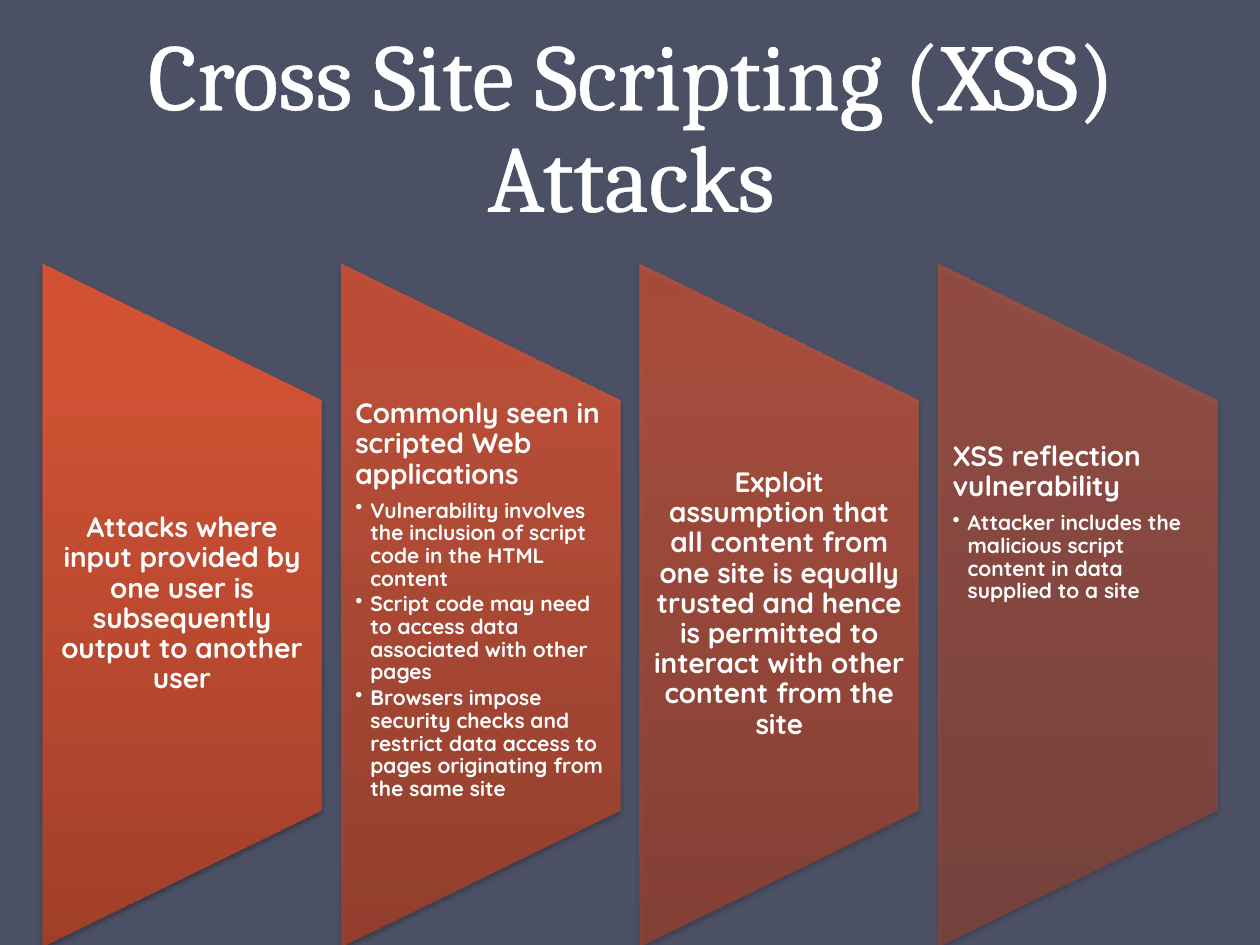
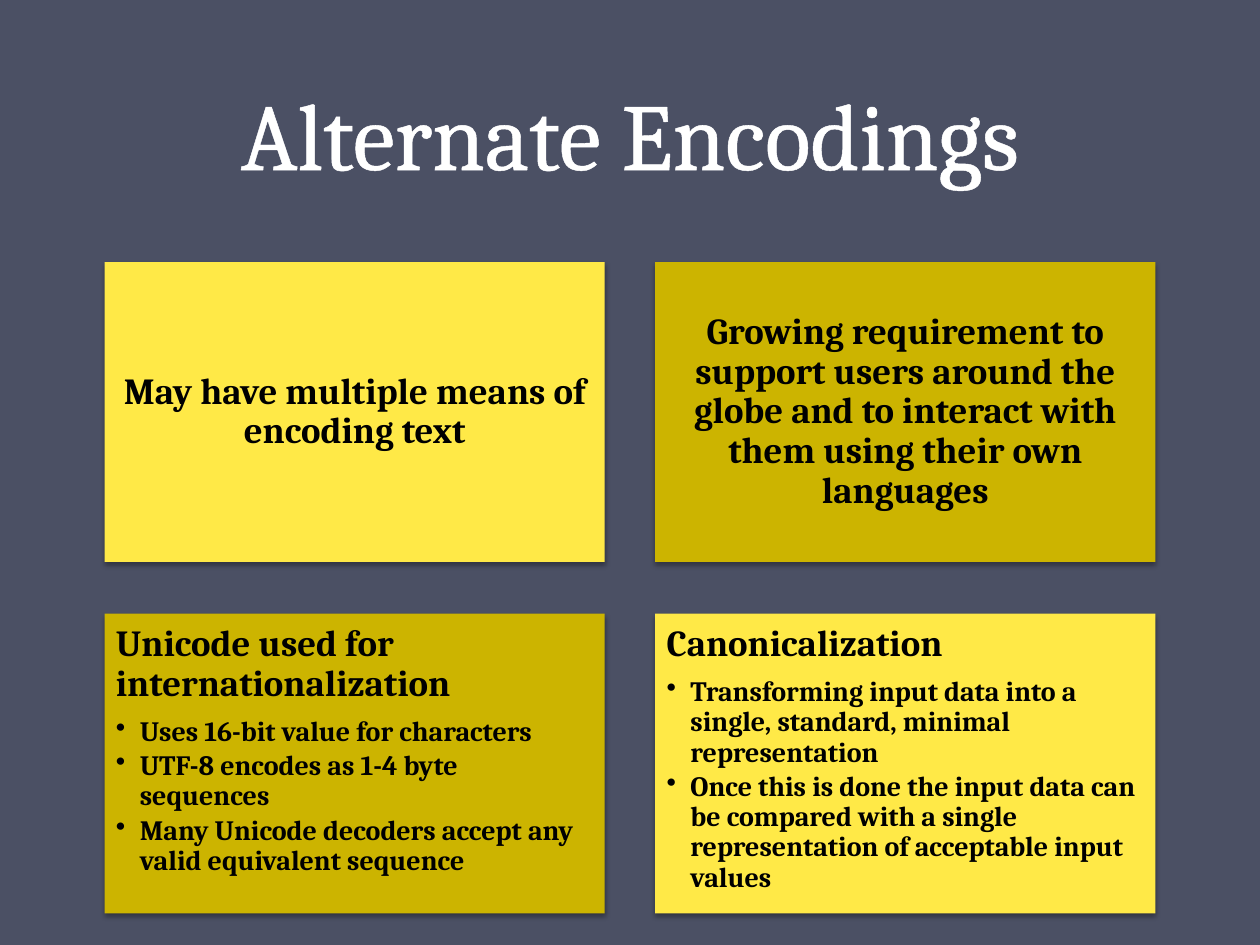
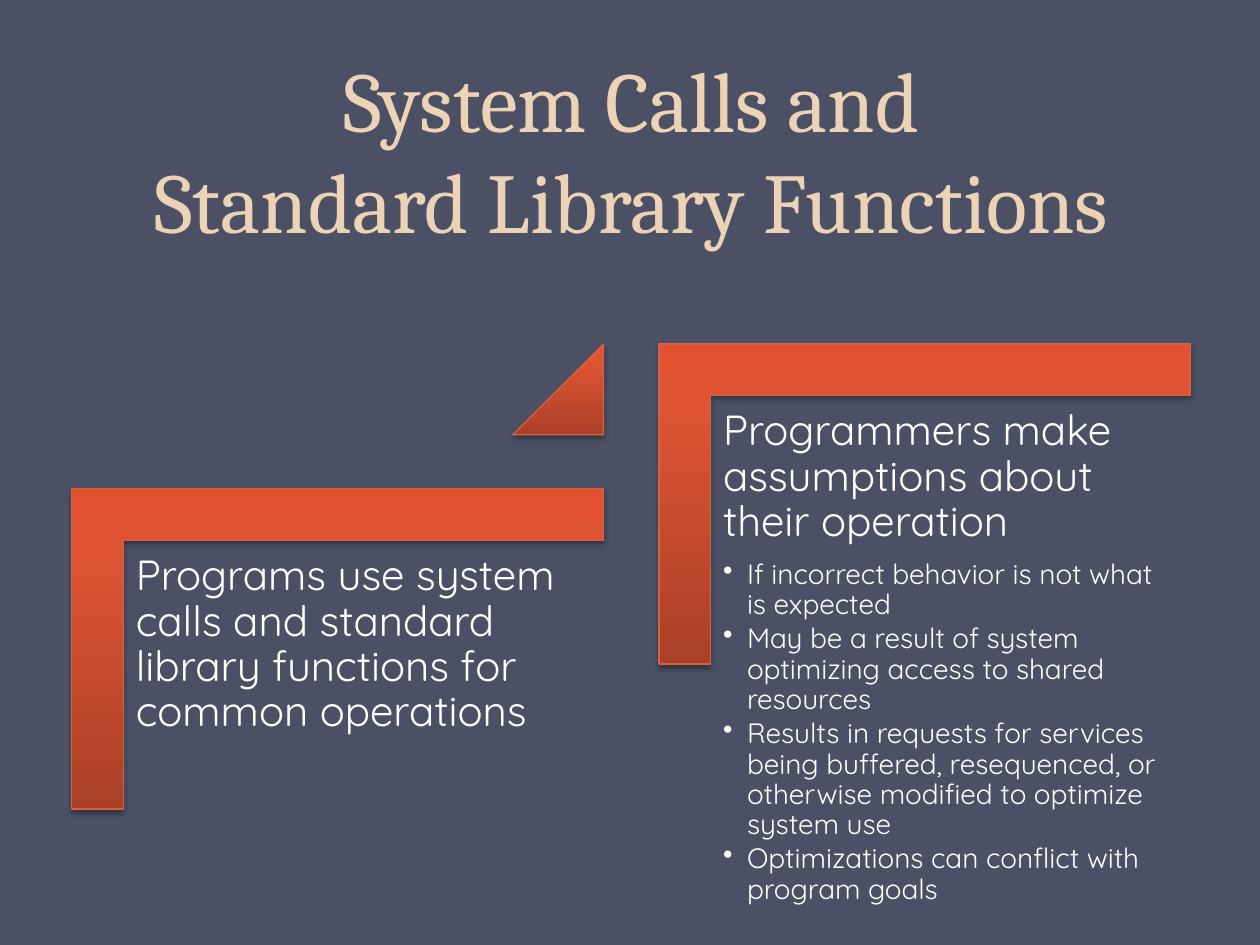
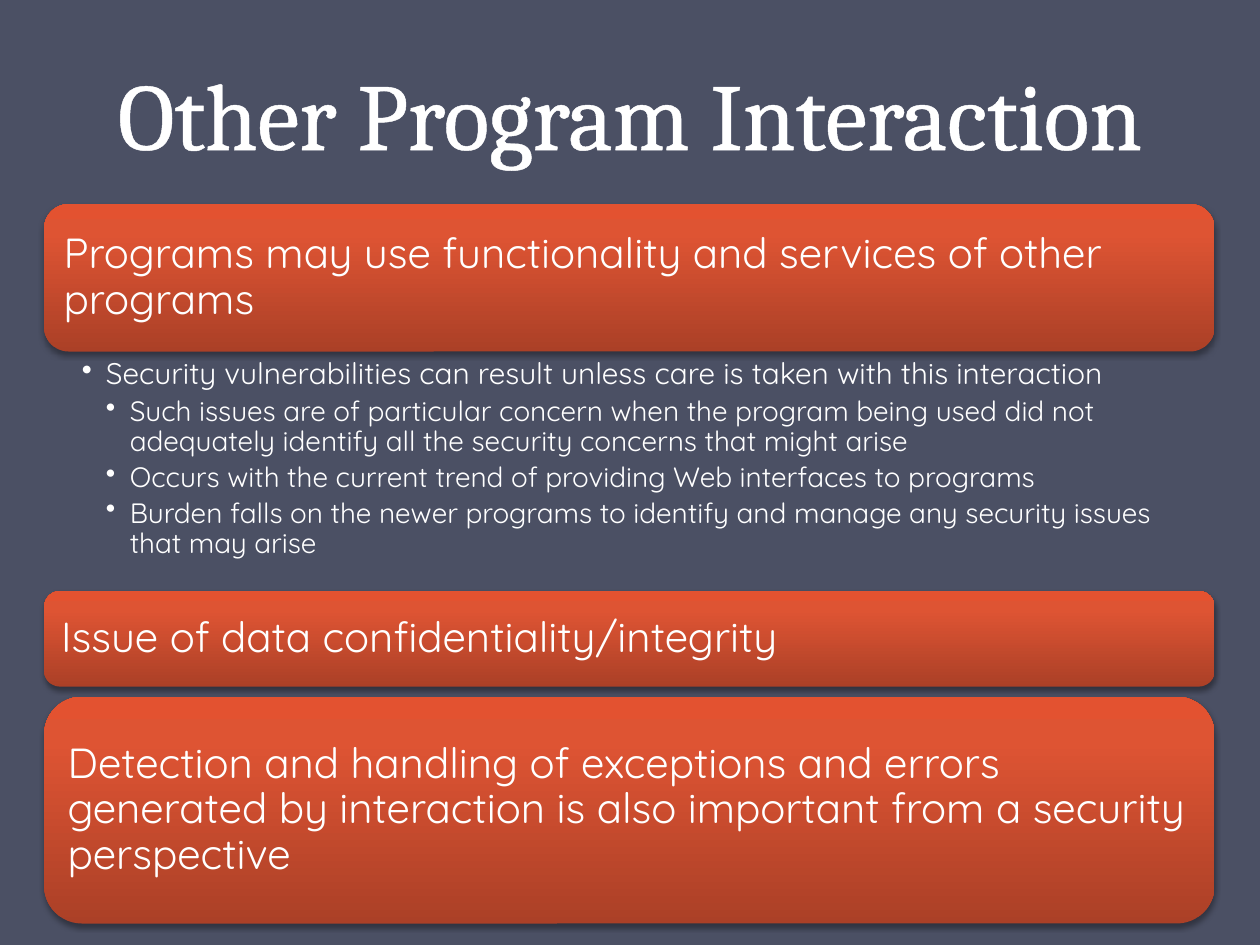
from lxml import etree
from pptx import Presentation
from pptx.dml.color import RGBColor
from pptx.enum.shapes import MSO_SHAPE
from pptx.enum.text import MSO_ANCHOR, PP_ALIGN
from pptx.oxml.ns import qn
from pptx.util import Inches, Pt

TOP, MID, LOW = MSO_ANCHOR.TOP, MSO_ANCHOR.MIDDLE, MSO_ANCHOR.BOTTOM
LEFT, CENTER = PP_ALIGN.LEFT, PP_ALIGN.CENTER
RECT, ROUND = MSO_SHAPE.RECTANGLE, MSO_SHAPE.ROUNDED_RECTANGLE
FLAP, CORNER = MSO_SHAPE.FLOWCHART_MANUAL_OPERATION, MSO_SHAPE.from_xml("corner")
WEDGE = MSO_SHAPE.ISOSCELES_TRIANGLE

HUES = {
    "back": "4B5064", "white": "FFFFFF", "black": "000000", "sand": "EDD3B6",
    "lemon": "FFE947", "gold": "CCB400", "edge": "D16349",
    "dark": "AB4027", "rust": "DE5433", "flame": "E35230",
}
RAMP = ((0, "dark"), (80, "rust"), (100, "flame"))
SERIF, SANS = "Cambria", "Quicksand"

PANELS = (
    ("Attacks where input provided by one user is subsequently output to another user", (), 0),
    ("Commonly seen in scripted Web applications", (
        "Vulnerability involves the inclusion of script code in the HTML content",
        "Script code may need to access data associated with other pages",
        "Browsers impose security checks and restrict data access to pages "
        "originating from the same site"), 0),
    ("Exploit assumption that all content from one site is equally trusted and hence "
     "is permitted to interact with other content from the site", (), 0),
    ("XSS reflection vulnerability", (
        "Attacker includes the malicious script content in data supplied to a site",), 0.34),
)
CARDS = (
    ("lemon", "May have multiple means of encoding text", ()),
    ("gold", "Growing requirement to support users around the globe and to interact "
     "with them using their own languages", ()),
    ("gold", "Unicode used for internationalization", (
        "Uses 16-bit value for characters",
        "UTF-8 encodes as 1-4 byte sequences",
        "Many Unicode decoders accept any valid equivalent sequence")),
    ("lemon", "Canonicalization", (
        "Transforming input data into a single, standard, minimal representation",
        "Once this is done the input data can be compared with a single "
        "representation of acceptable input values")),
)
STEPS = (
    ("Programs use system calls and standard library functions for common operations", ()),
    ("Programmers make assumptions about their operation", (
        "If incorrect behavior is not what is expected",
        "May be a result of system optimizing access to shared resources",
        "Results in requests for services being buffered, resequenced, or otherwise "
        "modified to optimize system use",
        "Optimizations can conflict with program goals")),
)
BARS = (
    (1.62, 1.17, "Programs may use functionality and services of other programs"),
    (4.69, 0.76, "Issue of data confidentiality/integrity"),
    (5.53, 1.8, "Detection and handling of exceptions and errors generated by interaction "
     "is also important from a security perspective"),
)
NOTES = (
    (1, 17, "Security vulnerabilities can result unless care is taken with this interaction"),
    (2, 16, "Such issues are of particular concern when the program being used did not "
     "adequately identify all the security concerns that might arise"),
    (2, 16, "Occurs with the current trend of providing Web interfaces to programs"),
    (2, 16, "Burden falls on the newer programs to identify and manage any security "
     "issues that may arise"),
)


def hue(name):
    """Return the named colour."""
    return RGBColor.from_string(HUES[name])


def place(box):
    """Turn left, top, width and height into lengths."""
    return [Inches(side) for side in box]


def tint(parent, name, alpha=100):
    """Add a colour element, see-through when alpha is below 100."""
    color = etree.SubElement(parent, qn("a:srgbClr"), val=HUES[name])
    if alpha < 100:
        etree.SubElement(color, qn("a:alpha"), val=str(alpha * 1000))


def shade(shape):
    """Give a shape its soft shadow below."""
    shape.shadow.inherit = False
    effects = shape._element.spPr.find(qn("a:effectLst"))
    shadow = etree.SubElement(
        effects, qn("a:outerShdw"), blurRad=str(Pt(3.1)), dist=str(Pt(1.8)),
        dir="5400000", rotWithShape="0")
    tint(shadow, "black", 35)


def glow(shape, alpha):
    """Fill a shape with the upright red ramp."""
    shape.fill.gradient()
    shape.fill.gradient_angle = 90
    grad = shape._element.spPr.find(qn("a:gradFill"))
    grad.set("rotWithShape", "0")
    stops = grad.find(qn("a:gsLst"))
    for stop in list(stops):
        stops.remove(stop)
    for pos, name in RAMP:
        stop = etree.SubElement(stops, qn("a:gs"), pos=str(pos * 1000))
        tint(stop, name, alpha)


def form(slide, kind, box, fill=None, alpha=100, turn=0, edge=None, bends=()):
    """Draw a shape that shows in the given box, also after a quarter turn."""
    left, top, wide, high = box
    if turn:
        shift = (wide - high) / 2
        box = left + shift, top - shift, high, wide
    shape = slide.shapes.add_shape(kind, *place(box))
    shape.rotation = turn
    for spot, bend in enumerate(bends):
        shape.adjustments[spot] = bend
    if fill:
        shape.fill.solid()
        shape.fill.fore_color.rgb = hue(fill)
    else:
        glow(shape, alpha)
    if edge:
        shape.line.color.rgb = hue(edge)
        shape.line.width = Pt(0.75)
    else:
        shape.line.fill.background()
    shade(shape)
    return shape


def write(shape, rows, face, color="white", bold=False, align=LEFT, anchor=TOP,
          pads=(0.1, 0.1, 0.1, 0.1), step=0.19, after=0.15):
    """Write rows of level, size and text; levels above 0 get bullets."""
    frame = shape.text_frame
    frame.word_wrap = True
    frame.vertical_anchor = anchor
    (frame.margin_left, frame.margin_top,
     frame.margin_right, frame.margin_bottom) = place(pads)
    for spot, (level, size, text) in enumerate(rows):
        para = frame.add_paragraph() if spot else frame.paragraphs[0]
        para.text = text
        para.alignment = align
        para.level = level
        if level:
            props = para._p.get_or_add_pPr()
            props.set("marL", str(Inches(step * level)))
            props.set("indent", str(-Inches(step)))
            etree.SubElement(props, qn("a:buChar"), char="•")
        para.line_spacing = 0.9
        para.space_after = Pt(round(size * (after if level else 0.35), 1))
        font = para.font
        font.name, font.size, font.bold = face, Pt(size), bold
        font.color.rgb = hue(color)


def label(slide, box, rows, face, **style):
    """Add a text box with rows of text."""
    write(slide.shapes.add_textbox(*place(box)), rows, face, **style)


def rows(head, items, big, small):
    """List a heading and its bullets as rows."""
    return [(0, big, head)] + [(1, small, item) for item in items]


def title(slide, box, text, size=54, color="white", rim=True):
    """Add the slide title, set on the bottom of its box."""
    shape = slide.shapes.add_textbox(*place(box))
    write(shape, [(0, size, text)], SERIF, color, align=CENTER, anchor=LOW,
          pads=(0.1, 0.05, 0.1, 0.05))
    para = shape.text_frame.paragraphs[0]
    para.line_spacing, para.space_after = Pt(58), Pt(0)
    if rim:
        line = etree.Element(qn("a:ln"), w=str(Pt(1.45)))
        tint(etree.SubElement(line, qn("a:solidFill")), color)
        para.font._element.insert(0, line)


def page(prs):
    """Add a blank slide with the shared background."""
    slide = prs.slides.add_slide(prs.slide_layouts[6])
    slide.background.fill.solid()
    slide.background.fill.fore_color.rgb = hue("back")
    return slide


def attacks(prs):
    """Build the slide of four fading panels."""
    slide = page(prs)
    title(slide, (0.51, 0.13, 9, 1.75), "Cross Site Scripting (XSS) Attacks")
    for spot, (head, items, drop) in enumerate(PANELS):
        left = 0.34 + spot * 2.37
        form(slide, FLAP, (left, 2.09, 2.21, 5.42), alpha=round(90 - spot * 40 / 3), turn=270)
        label(slide, (left, 3.17, 2.21, 3.25), rows(head, items, 16, 12), SANS, bold=True,
              align=LEFT if items else CENTER, anchor=TOP if items else MID,
              pads=(0.11, drop, 0.11, 0), step=0.12)


def codes(prs):
    """Build the slide of four cards."""
    slide = page(prs)
    title(slide, (0.5, 0, 9, 1.55), "Alternate Encodings")
    for spot, (fill, head, items) in enumerate(CARDS):
        row, col = divmod(spot, 2)
        card = form(slide, RECT, (0.83 + col * 4.37, 2.08 + row * 2.79, 3.97, 2.38), fill)
        write(card, rows(head, items, 21, 16), SERIF, "black", bold=True,
              align=LEFT if items else CENTER, anchor=TOP if items else MID,
              pads=(0.09, 0.09, 0.09, 0.09))


def calls(prs):
    """Build the slide of two rising steps."""
    slide = page(prs)
    title(slide, (0.51, 0.29, 9, 1.75), "System Calls and\vStandard Library Functions",
          48.6, "sand", rim=False)
    for spot, (head, items) in enumerate(STEPS):
        left, top = 0.57 + spot * 4.66, 3.88 - spot * 1.15
        form(slide, CORNER, (left, top, 4.22, 2.54), turn=90, edge="edge", bends=(0.161, 0.161))
        label(slide, (left + 0.41, top + 0.42, 3.81, 3.34), rows(head, items, 24, 16), SANS)
    form(slide, WEDGE, (4.07, 2.73, 0.72, 0.72), edge="edge", bends=(1,))


def links(prs):
    """Build the slide of three bars."""
    slide = page(prs)
    title(slide, (0, 0, 10, 1.39), "Other Program Interaction")
    for top, high, text in BARS:
        bar = form(slide, ROUND, (0.35, top, 9.29, high))
        write(bar, [(0, 24, text)], SANS, anchor=MID)
    label(slide, (0.35, 2.83, 9.29, 1.86), NOTES, SANS, pads=(0.3, 0.02, 0.12, 0.02), after=0.2)


def main():
    """Build and save the deck."""
    prs = Presentation()
    prs.slide_width, prs.slide_height = Inches(10), Inches(7.5)
    for build in (attacks, codes, calls, links):
        build(prs)
    prs.save("out.pptx")


if __name__ == "__main__":
    main()
